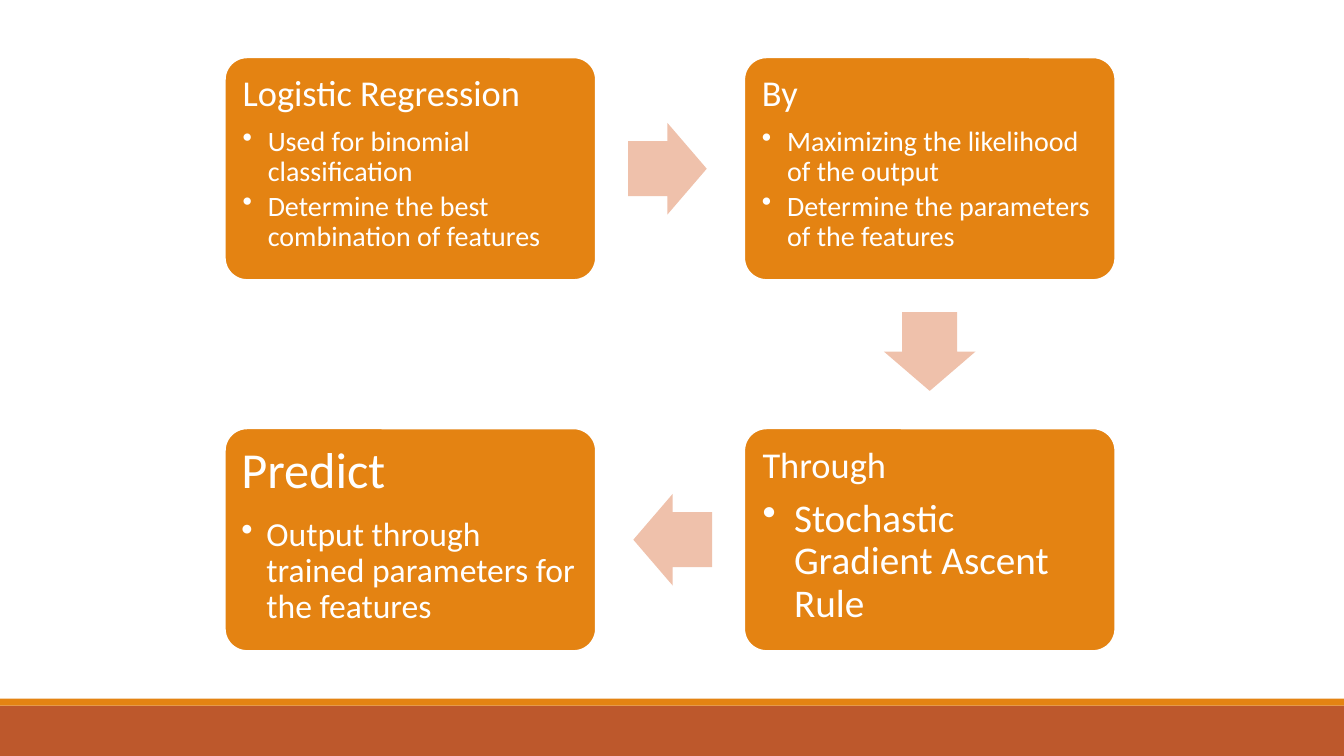
from lxml import etree
from pptx import Presentation
from pptx.dml.color import RGBColor
from pptx.enum import shapes, text
from pptx.oxml.ns import qn
from pptx.util import Pt

# Content, in reading order: (column, row), title, bullets, type sizes, inset, indent
STEPS = [
    dict(cell=(0, 0), title="Logistic Regression", size=26, bullet_size=20, inset=8, indent=18,
         bullets=["Used for binomial classification",
                  "Determine the best combination of features"]),
    dict(cell=(1, 0), title="By", size=26, bullet_size=20, inset=8, indent=18,
         bullets=["Maximizing the likelihood of the output",
                  "Determine the parameters of the features"]),
    dict(cell=(1, 1), title="Through", size=26, bullet_size=28, inset=8.4, indent=22.5,
         bullets=["Stochastic Gradient Ascent Rule"]),
    dict(cell=(0, 1), title="Predict", size=36, bullet_size=24, inset=7.2, indent=18,
         bullets=["Output through trained parameters for the features"]),
]

THEME = dict(font="Calibri", text="FFFFFF", box="E48312", outline="FFFFFF",
             arrow="EFC1AB", stripe="E48312", footer="BD582C")

# Layout in points
SLIDE_W, SLIDE_H = 960, 540
FOOTER_H, STRIPE_H = 36, 5
BOX_W, BOX_H = 265, 159
LEFT, TOP = 160.6, 41
COL_STEP, ROW_STEP = 371, 265
ARROW_L, ARROW_W, ARROW_GAP = 56.2, 65.5, 23

prs = Presentation()
prs.slide_width, prs.slide_height = Pt(SLIDE_W), Pt(SLIDE_H)
slide = prs.slides.add_slide(prs.slide_layouts[6])
KIND = shapes.MSO_SHAPE


def add_filled(kind, x, y, w, h, color):
    sp = slide.shapes.add_shape(kind, Pt(x), Pt(y), Pt(w), Pt(h))
    sp.shadow.inherit = False
    sp.fill.solid()
    sp.fill.fore_color.rgb = RGBColor.from_string(THEME[color])
    sp.line.fill.background()
    return sp


def add_line(tf, words, size, after, indent=0):
    """Add a paragraph; after is a percentage, and an indent makes it a bullet."""
    p = tf.paragraphs[0] if not tf.paragraphs[0].runs else tf.add_paragraph()
    p.alignment = text.PP_ALIGN.LEFT
    p.line_spacing = 0.9
    r = p.add_run()
    r.text = words
    r.font.name, r.font.size = THEME["font"], Pt(size)
    r.font.color.rgb = RGBColor.from_string(THEME["text"])
    ppr = p._p.get_or_add_pPr()
    space = etree.SubElement(ppr, qn("a:spcAft"))
    etree.SubElement(space, qn("a:spcPct")).set("val", str(after * 1000))
    if indent:
        p.level = 1
        ppr.set("marL", str(Pt(indent)))
        ppr.set("indent", str(-Pt(indent)))
        etree.SubElement(ppr, qn("a:buChar")).set("char", "•")


def center(step):
    col, row = step["cell"]
    return LEFT + col * COL_STEP + BOX_W / 2, TOP + row * ROW_STEP + BOX_H / 2


# Footer band and stripe
footer_top = SLIDE_H - FOOTER_H
add_filled(KIND.RECTANGLE, 0, footer_top, SLIDE_W, FOOTER_H, "footer")
add_filled(KIND.RECTANGLE, 0, footer_top - STRIPE_H, SLIDE_W, STRIPE_H, "stripe")

# Step boxes
for step in STEPS:
    cx, cy = center(step)
    box = add_filled(KIND.ROUNDED_RECTANGLE, cx - BOX_W / 2, cy - BOX_H / 2, BOX_W, BOX_H, "box")
    box.adjustments[0] = 0.1
    box.line.color.rgb = RGBColor.from_string(THEME["outline"])
    box.line.width = Pt(1.25)
    tf = box.text_frame
    tf.word_wrap = True
    tf.vertical_anchor = text.MSO_ANCHOR.TOP
    tf.margin_left = tf.margin_right = tf.margin_top = tf.margin_bottom = Pt(step["inset"])
    add_line(tf, step["title"], step["size"], 35)
    for bullet in step["bullets"]:
        add_line(tf, bullet, step["bullet_size"], 15, step["indent"])

# Arrows: each starts a fixed gap beyond the box it leaves
for step, following in zip(STEPS, STEPS[1:]):
    dx, dy = (b - a for a, b in zip(step["cell"], following["cell"]))
    cx, cy = center(step)
    cx += dx * (BOX_W / 2 + ARROW_GAP + ARROW_L / 2)
    cy += dy * (BOX_H / 2 + ARROW_GAP + ARROW_L / 2)
    arrow = add_filled(KIND.RIGHT_ARROW, cx - ARROW_L / 2, cy - ARROW_W / 2,
                       ARROW_L, ARROW_W, "arrow")
    arrow.adjustments[0], arrow.adjustments[1] = 0.6, 0.5
    arrow.rotation = {(1, 0): 0, (0, 1): 90, (-1, 0): 180}[dx, dy]

prs.save("out.pptx")
